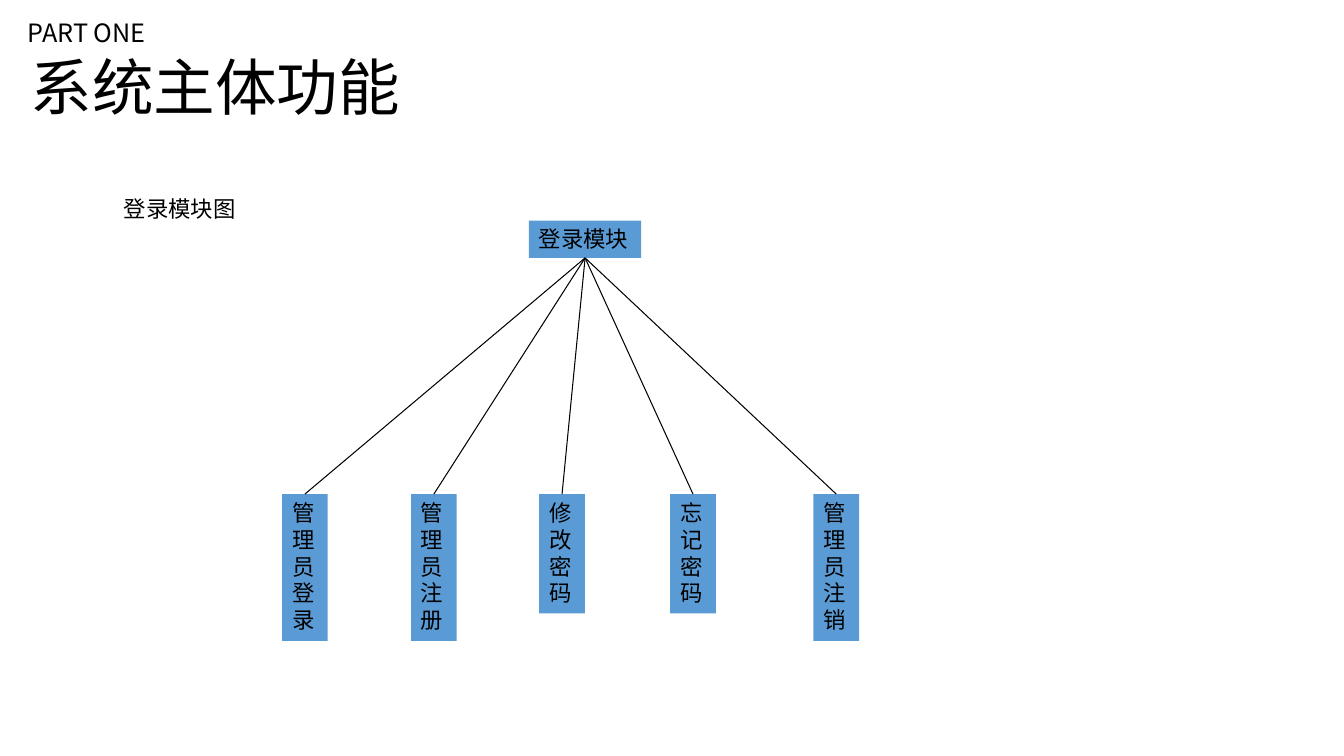
from dataclasses import dataclass

from lxml.etree import SubElement
from pptx import Presentation
from pptx.dml.color import RGBColor
from pptx.enum.shapes import MSO_CONNECTOR as Connector, MSO_SHAPE as Shape
from pptx.enum.text import MSO_ANCHOR as Anchor, PP_ALIGN as Align
from pptx.oxml.ns import qn
from pptx.util import Cm, Pt


@dataclass(frozen=True)
class Theme:
    ink: RGBColor = RGBColor(0x00, 0x00, 0x00)
    node: RGBColor = RGBColor(0x5B, 0x9B, 0xD5)
    heading_font: str = "Noto Sans CJK SC"
    node_font: str = "Arial"
    title_size: int = 44
    part_size: int = 18
    body_size: int = 16
    line_width: float = 0.75


THEME = Theme()
LEAF_TOP = 12.45
LEAF_WIDTH = 1.15
LEAF_PADDING = 0.25
CHARACTER_HEIGHT = 0.69
LEAVES = (
    ("管理员登录", 7.11),
    ("管理员注册", 10.36),
    ("修改密码", 13.59),
    ("忘记密码", 16.89),
    ("管理员注销", 20.5),
)


def write_text(shape, text, size, font_name):
    text_frame = shape.text_frame
    text_frame.text = text
    paragraph = text_frame.paragraphs[0]
    paragraph.alignment = Align.LEFT
    run = paragraph.runs[0]
    run.font.size = Pt(size)
    run.font.name = font_name
    run.font.color.rgb = THEME.ink
    SubElement(run.font._element, qn("a:ea"), typeface=font_name)


def format_heading(shape, text, size, left, top, width, height):
    shape.left, shape.top = Cm(left), Cm(top)
    shape.width, shape.height = Cm(width), Cm(height)
    text_frame = shape.text_frame
    text_frame.margin_left = text_frame.margin_right = 0
    text_frame.margin_top = text_frame.margin_bottom = 0
    text_frame.vertical_anchor = Anchor.MIDDLE
    text_frame.word_wrap = True
    write_text(shape, text, size, THEME.heading_font)


def add_label(slide, text, size, left, top, width, height):
    label = slide.shapes.add_textbox(0, 0, 0, 0)
    format_heading(label, text, size, left, top, width, height)


def add_node(slide, text, left, top, width, height):
    node = slide.shapes.add_shape(
        Shape.RECTANGLE, Cm(left), Cm(top), Cm(width), Cm(height)
    )
    node.shadow.inherit = False
    node.fill.solid()
    node.fill.fore_color.rgb = THEME.node
    node.line.fill.background()
    node.text_frame.word_wrap = True
    node.text_frame.vertical_anchor = Anchor.TOP
    write_text(node, text, THEME.body_size, THEME.node_font)
    return node


def add_branch(slide, parent, child):
    branch = slide.shapes.add_connector(Connector.STRAIGHT, 0, 0, 0, 0)
    branch.begin_connect(parent, 2)
    branch.end_connect(child, 0)
    branch.line.color.rgb = THEME.ink
    branch.line.width = Pt(THEME.line_width)
    SubElement(branch._element.spPr, qn("a:effectLst"))


def main():
    presentation = Presentation()
    presentation.slide_width, presentation.slide_height = Cm(33.87), Cm(19.05)
    slide = presentation.slides.add_slide(presentation.slide_layouts[5])

    add_label(slide, "PART ONE", THEME.part_size, 0.7, 0.32, 6, 1)
    format_heading(
        slide.shapes.title, "系统主体功能", THEME.title_size, 0.77, 1.06, 12, 2.2
    )
    add_label(slide, "登录模块图", THEME.body_size, 3.12, 4.8, 5, 0.9)

    root = add_node(slide, "登录模块", 13.44, 5.56, 2.83, 0.94)
    root.left = Cm(13.33)
    root.text_frame.word_wrap = False
    for text, left in LEAVES:
        height = LEAF_PADDING + CHARACTER_HEIGHT * len(text)
        leaf = add_node(slide, text, left, LEAF_TOP, LEAF_WIDTH, height)
        add_branch(slide, root, leaf)

    presentation.save("out.pptx")


if __name__ == "__main__":
    main()
